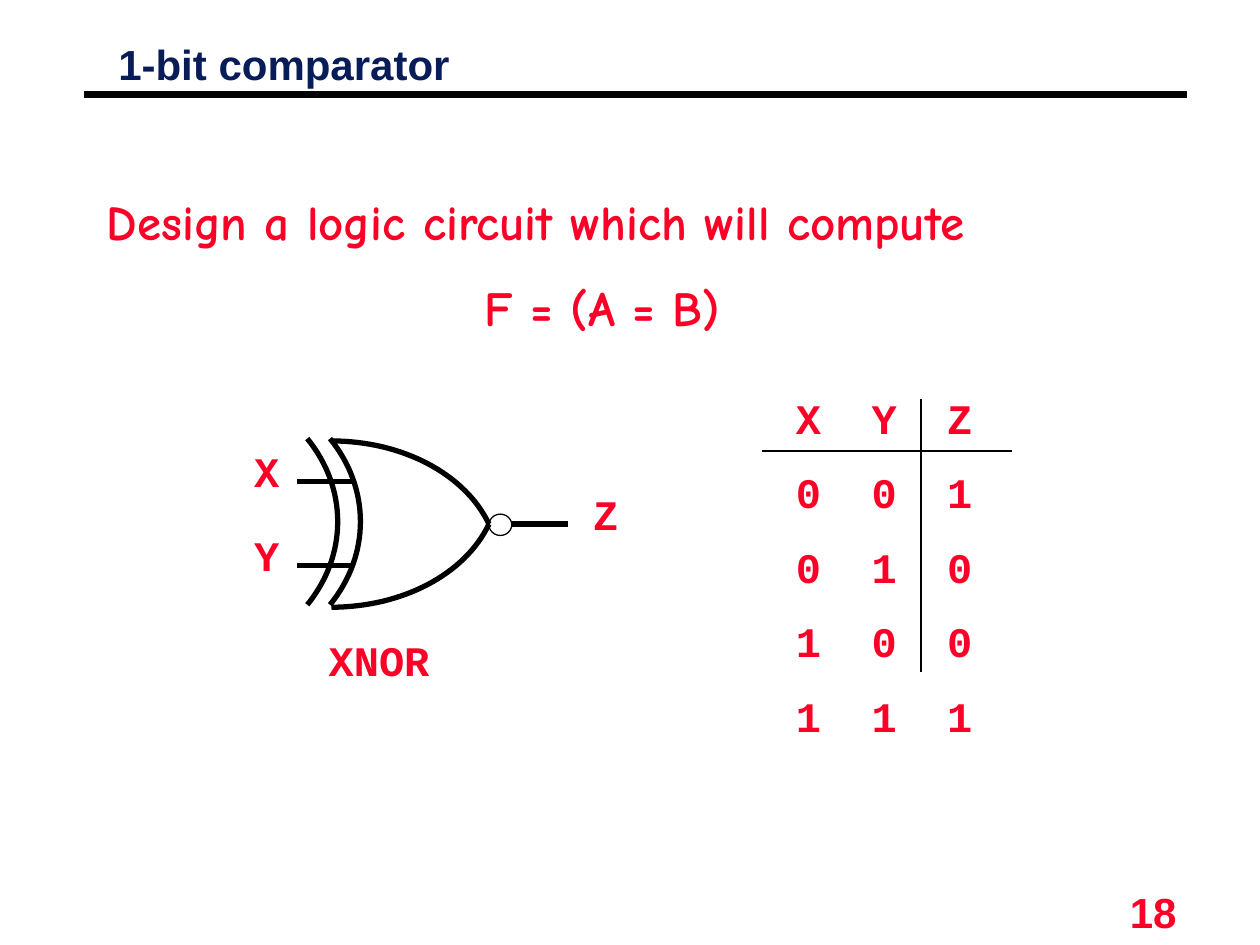
from lxml.etree import SubElement
from pptx import Presentation
from pptx.dml.color import RGBColor
from pptx.enum.shapes import MSO_CONNECTOR, MSO_SHAPE
from pptx.enum.text import MSO_AUTO_SIZE
from pptx.oxml.ns import qn
from pptx.util import Pt

BLACK = RGBColor(0x00, 0x00, 0x00)
NAVY = RGBColor(0x08, 0x1D, 0x58)
RED = RGBColor(0xFC, 0x01, 0x28)

CURVE_STEPS = 32
GATE_MIDDLE = 299.5
GATE_BACK = 189.4
GATE_TIP = 279.4


def add_text(slide, left, top, width, height, lines, font="Courier New",
             size=24, color=RED, spacing=0.75, before=20.9,
             inset=(7.2, 3.6), wrap=False, stops=()):
    box = slide.shapes.add_textbox(Pt(left), Pt(top), Pt(width), Pt(height))
    frame = box.text_frame
    frame.text = "\n".join(lines)
    frame.word_wrap = wrap
    frame.auto_size = MSO_AUTO_SIZE.SHAPE_TO_FIT_TEXT
    frame.margin_left = frame.margin_right = Pt(inset[0])
    frame.margin_top = frame.margin_bottom = Pt(inset[1])
    for para in frame.paragraphs:
        para.line_spacing = spacing
        para.space_before = Pt(before)
        if stops:
            add_tab_stops(para, stops)
        for span in para.runs:
            span.font.name = font
            span.font.size = Pt(size)
            span.font.bold = True
            span.font.color.rgb = color


def add_tab_stops(para, stops):
    tab_list = SubElement(para._p.get_or_add_pPr(), qn("a:tabLst"))
    for stop in stops:
        SubElement(tab_list, qn("a:tab"), pos=str(Pt(stop)), algn="l")


def set_outline(shape, width):
    shape.line.color.rgb = BLACK
    shape.line.width = Pt(width)


def add_line(slide, start, end, width):
    line = slide.shapes.add_connector(
        MSO_CONNECTOR.STRAIGHT, *(Pt(value) for value in start + end))
    set_outline(line, width)
    SubElement(line._element.spPr, qn("a:effectLst"))


def bezier_point(controls, t):
    weights = ((1 - t) ** 3, 3 * t * (1 - t) ** 2, 3 * t ** 2 * (1 - t), t ** 3)
    return tuple(Pt(sum(weight * point[axis]
                        for weight, point in zip(weights, controls)))
                 for axis in (0, 1))


def add_curve(slide, controls, width=3):
    points = [bezier_point(controls, step / CURVE_STEPS)
              for step in range(CURVE_STEPS + 1)]
    builder = slide.shapes.build_freeform(*points[0])
    builder.add_line_segments(points[1:], close=False)
    curve = builder.convert_to_shape()
    curve.fill.background()
    curve.shadow.inherit = False
    set_outline(curve, width)


def add_gate(slide):
    # Upper and lower sides meet at the tip
    for side in (-1, 1):
        edge = GATE_MIDDLE + side * 47.5
        add_curve(slide, [(GATE_BACK, edge), (229.7, edge),
                          (265.7, GATE_MIDDLE + side * 28.8),
                          (GATE_TIP, GATE_MIDDLE)])

    # Two parallel arcs at the back
    for left in (188.6, 175.6):
        add_curve(slide, [(left, 250.6), (left + 23.2, 279),
                          (left + 23.2, 317.2), (left, 345.6)])

    # Inputs, output and inversion bubble
    for height in (275.3, 323.3):
        add_line(slide, (170, height), (202.3, height), 3)
    add_line(slide, (292.3, GATE_MIDDLE), (324.7, GATE_MIDDLE), 3)
    bubble = slide.shapes.add_shape(
        MSO_SHAPE.OVAL, Pt(GATE_TIP), Pt(293.8), Pt(13), Pt(12.2))
    bubble.fill.background()
    bubble.shadow.inherit = False
    set_outline(bubble, 0.75)

    # Labels
    for label, left, top, width in (("X", 138.2, 257.8, 28.8),
                                    ("Y", 138.2, 306, 28.8),
                                    ("Z", 331.9, 282.2, 28.8),
                                    ("XNOR", 180.7, 365.8, 72)):
        add_text(slide, left, top, width, 28.8, [label])


def add_truth_table(slide):
    rows = [("X", "Y", "Z")]
    rows += [(str(x), str(y), str(int(x == y))) for x in (0, 1) for y in (0, 1)]
    add_text(slide, 447.8, 227.5, 115.2, 193.7,
             ["\t".join(row) for row in rows], stops=(43.2, 86.4))
    add_line(slide, (435.6, 257.8), (578.2, 257.8), 0.75)
    add_line(slide, (526.3, 228.2), (526.3, 383.8), 0.75)


def main():
    deck = Presentation()
    deck.slide_width, deck.slide_height = Pt(720), Pt(540)
    page = deck.slides.add_slide(deck.slide_layouts[6])

    # Heading, rule and page number
    add_line(page, (48.2, 54), (678.2, 54), 4.5)
    add_text(page, 638.6, 509.8, 41, 28.8, ["18"], font="Arial")
    add_text(page, 62.6, 23.8, 200.9, 30.2, ["1-bit comparator"], font="Arial",
             color=NAVY, spacing=0.87, before=0, inset=(5, 2.2))

    # Task
    add_text(page, 54, 113.8, 552.2, 80.6,
             ["Design a logic circuit which will compute", "\tF = (A = B)"],
             font="Comic Neue", size=28, before=23.8, wrap=True, stops=(216,))

    # Solution
    add_gate(page)
    add_truth_table(page)
    deck.save("out.pptx")


if __name__ == "__main__":
    main()
